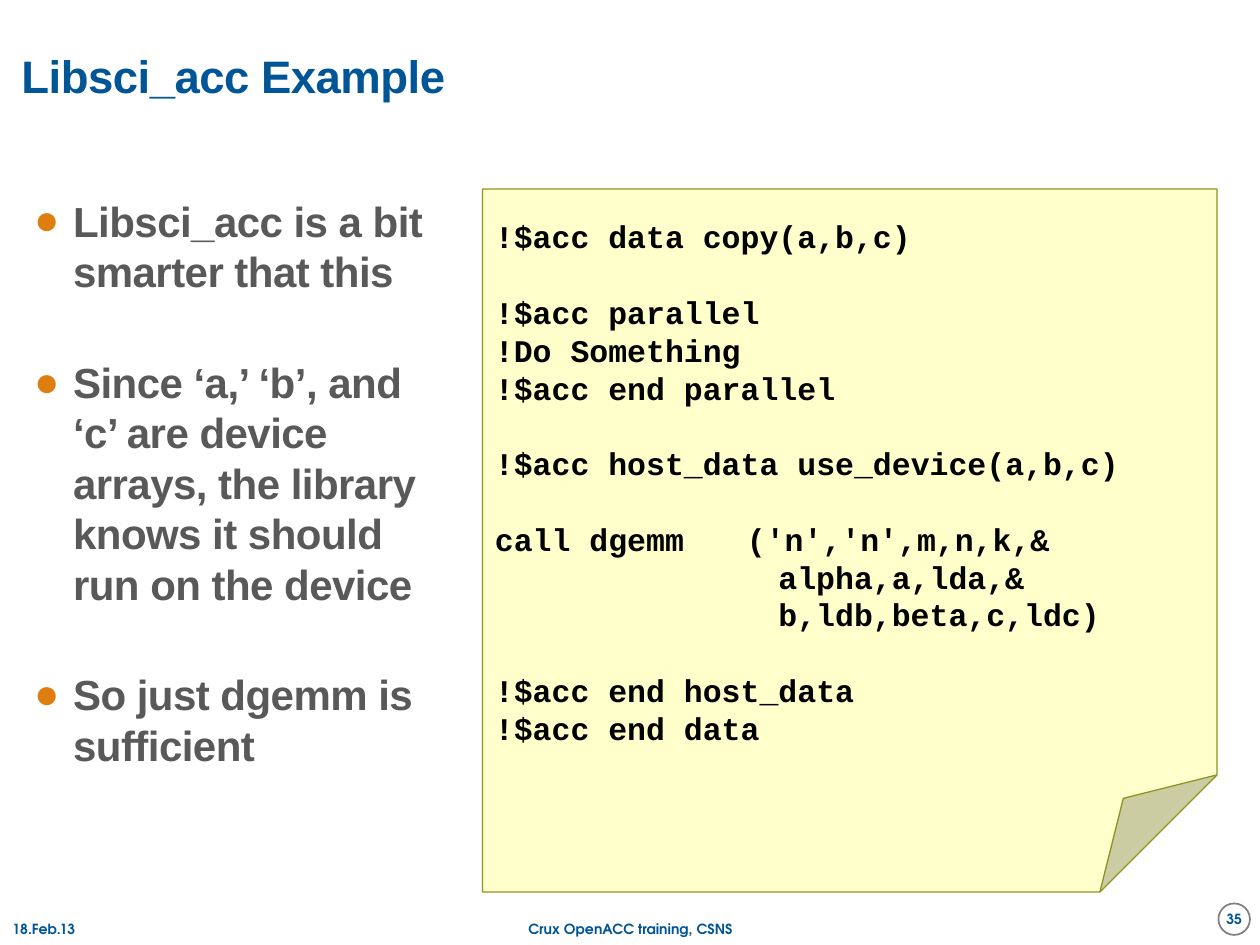
from lxml.etree import SubElement
from pptx import Presentation
from pptx.dml.color import RGBColor
from pptx.enum.shapes import MSO_SHAPE
from pptx.enum.text import MSO_ANCHOR, MSO_AUTO_SIZE, PP_ALIGN
from pptx.oxml.ns import qn
from pptx.util import Inches, Pt

BLUE = RGBColor(0x00, 0x55, 0x96)
GRAY = RGBColor(0x59, 0x59, 0x59)
ORANGE = RGBColor(0xDD, 0x7E, 0x0E)
BLACK = RGBColor(0x00, 0x00, 0x00)
WHITE = RGBColor(0xFF, 0xFF, 0xFF)
NOTE_FILL = RGBColor(0xFF, 0xFF, 0xCC)
NOTE_LINE = RGBColor(0x8D, 0x94, 0x1E)
RING = RGBColor(0x80, 0x80, 0x80)

CODE_CHAR = 0.15
CODE_TAB = 14 * CODE_CHAR
CODE_INDENT = 15 * CODE_CHAR

BULLETS = [
    "Libsci_acc is a bit smarter that this",
    "Since ‘a,’ ‘b’, and ‘c’ are device arrays, the library knows it should run on the device",
    "So just dgemm is sufficient",
]
CODE_BLOCKS = [
    [("!$acc data copy(a,b,c)", 0)],
    [("!$acc parallel", 0), ("!Do Something", 0), ("!$acc end parallel", 0)],
    [("!$acc host_data use_device(a,b,c)", 0)],
    [
        ("call dgemm\t('n','n',m,n,k,&", 0),
        ("alpha,a,lda,&", CODE_INDENT),
        ("b,ldb,beta,c,ldc)", CODE_INDENT),
    ],
    [("!$acc end host_data", 0), ("!$acc end data", 0)],
]


def add_text(tf, text, font="Arial", size=24, color=BLACK, align=PP_ALIGN.LEFT,
             spacing=None, before=0, after=0, indent=0, hanging=0,
             tracking=None, bullet=None, tab=None):
    """Add one formatted bold paragraph to a text frame."""
    p = tf.paragraphs[0]
    if p.runs:
        p = tf.add_paragraph()
    p.alignment = align
    p.space_before, p.space_after = Pt(before), Pt(after)
    if spacing:
        p.line_spacing = spacing
    r = p.add_run()
    r.text = text
    r.font.name, r.font.size, r.font.bold = font, Pt(size), True
    r.font.color.rgb = color
    if tracking:
        r._r.get_or_add_rPr().set("spc", str(int(tracking * 100)))
    pPr = p._p.get_or_add_pPr()
    pPr.set("marL", str(Inches(indent)))
    pPr.set("indent", str(Inches(-hanging)))
    if bullet:
        SubElement(SubElement(pPr, qn("a:buClr")), qn("a:srgbClr"), val=str(ORANGE))
        SubElement(pPr, qn("a:buFont"), typeface="Arial")
        SubElement(pPr, qn("a:buChar"), char=bullet)
    else:
        SubElement(pPr, qn("a:buNone"))
    if tab:
        tabs = SubElement(pPr, qn("a:tabLst"))
        SubElement(tabs, qn("a:tab"), pos=str(Inches(tab)), algn="l")


class SlideBuilder:
    """Hold the slide and its style and add each kind of element."""

    footer_style = {"font": "TeX Gyre Adventor", "size": 8, "color": BLUE}

    def __init__(self, slide):
        self.s = slide

    def frame(self, sp, anchor, margin=None):
        """Prepare the text frame of a shape."""
        tf = sp.text_frame
        tf.word_wrap = True
        tf.auto_size = MSO_AUTO_SIZE.NONE
        tf.vertical_anchor = anchor
        if margin is not None:
            tf.margin_left = tf.margin_right = Inches(margin)
            tf.margin_top = tf.margin_bottom = Inches(margin)
        return tf

    def place(self, sp, x, y, w, h):
        """Move and size a placeholder."""
        sp.left, sp.top, sp.width, sp.height = map(Inches, (x, y, w, h))

    def title(self, text, *box):
        """Fill the title placeholder."""
        sp = self.s.shapes.title
        self.place(sp, *box)
        tf = self.frame(sp, MSO_ANCHOR.MIDDLE, 0)
        add_text(tf, text, size=26, color=BLUE, spacing=0.85, tracking=-0.3)

    def bullets(self, items, *box):
        """Fill the body placeholder with a bulleted list."""
        sp = self.s.placeholders[1]
        self.place(sp, *box)
        tf = self.frame(sp, MSO_ANCHOR.TOP)
        for i, item in enumerate(items):
            add_text(tf, item, color=GRAY, spacing=Pt(28.8), tracking=-0.3,
                     before=33 if i else 1.5, after=1.5,
                     indent=0.31, hanging=0.31, bullet="●")

    def shape(self, kind, fill, line, width, *box):
        """Add a filled and outlined preset shape."""
        sp = self.s.shapes.add_shape(kind, *map(Inches, box))
        sp.shadow.inherit = False
        sp.fill.solid()
        sp.fill.fore_color.rgb = fill
        sp.line.color.rgb = line
        sp.line.width = Pt(width)
        return sp

    def code_note(self, blocks, *box):
        """Add a folded note with blocks of code."""
        sp = self.shape(MSO_SHAPE.FOLDED_CORNER, NOTE_FILL, NOTE_LINE, 0.75, *box)
        tf = self.frame(sp, MSO_ANCHOR.MIDDLE)
        for b, block in enumerate(blocks):
            for i, (text, indent) in enumerate(block):
                add_text(tf, text, font="Courier New", size=18, spacing=Pt(21.6),
                         before=21.6 if b and i == 0 else 0, indent=indent,
                         tab=CODE_TAB if "\t" in text else None)

    def page_number(self, text, *box):
        """Add the ringed page number."""
        sp = self.shape(MSO_SHAPE.OVAL, WHITE, RING, 1, *box)
        tf = self.frame(sp, MSO_ANCHOR.MIDDLE, 0)
        add_text(tf, text, align=PP_ALIGN.CENTER, **self.footer_style)

    def footer(self, text, align, *box):
        """Add a footer text box."""
        sp = self.s.shapes.add_textbox(*map(Inches, box))
        tf = self.frame(sp, MSO_ANCHOR.MIDDLE)
        add_text(tf, text, align=align, **self.footer_style)


def main():
    """Build and save the slide."""
    prs = Presentation()
    prs.slide_width, prs.slide_height = Inches(10), Inches(7.5)
    s = SlideBuilder(prs.slides.add_slide(prs.slide_layouts[1]))
    s.title("Libsci_acc Example", 0.17, 0.17, 8, 0.92)
    s.bullets(BULLETS, 0.17, 1.5, 3.33, 5.67)
    s.code_note(CODE_BLOCKS, 3.83, 1.5, 5.83, 5.58)
    s.page_number("35", 9.67, 7.17, 0.25, 0.25)
    s.footer("18.Feb.13", PP_ALIGN.LEFT, 0, 7.25, 2.33, 0.25)
    s.footer("Crux OpenACC training, CSNS", PP_ALIGN.CENTER, 3.42, 7.25, 3.17, 0.25)
    prs.save("out.pptx")


if __name__ == "__main__":
    main()
